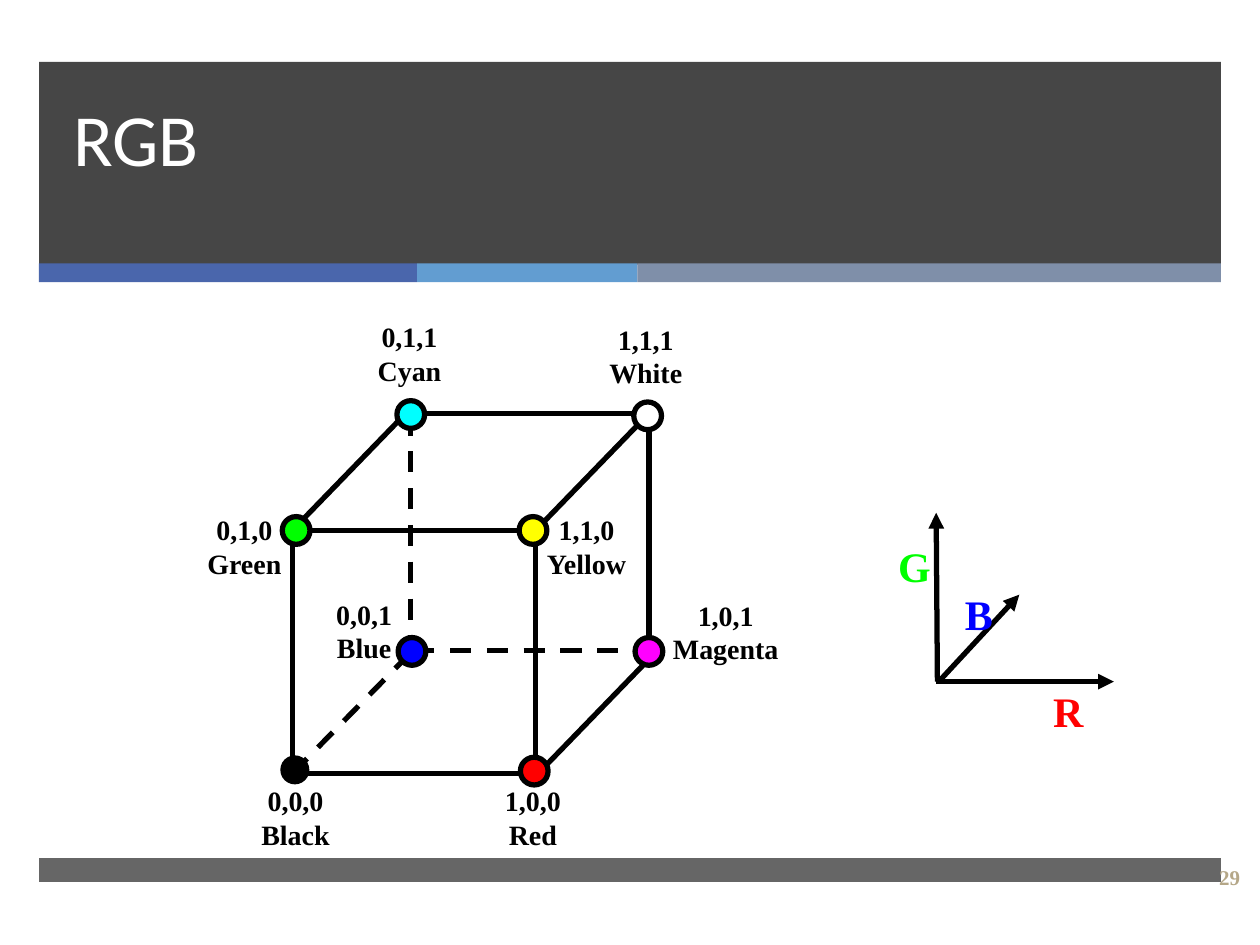
from dataclasses import dataclass

from lxml.etree import SubElement
from pptx import Presentation
from pptx.dml.color import RGBColor
from pptx.enum.dml import MSO_LINE
from pptx.enum.shapes import MSO_CONNECTOR, MSO_SHAPE
from pptx.enum.text import MSO_ANCHOR, PP_ALIGN
from pptx.oxml.ns import qn
from pptx.util import Inches, Pt


@dataclass(frozen=True)
class Theme:
    dark: str = "262626"
    accents: tuple = ("4A66AC", "629DD1", "7F8FA9")
    ink: str = "000000"
    white: str = "FFFFFF"
    page_number: str = "B5A788"
    red: str = "FF0000"
    green: str = "00FF00"
    blue: str = "0000FF"
    cyan: str = "00FFFF"
    magenta: str = "FF00FF"
    yellow: str = "FFFF00"
    title_font: str = "Calibri"
    label_font: str = "Times New Roman"
    title_size: int = 42
    axis_size: int = 24
    label_size: int = 16
    number_size: int = 12
    stroke: int = 3


theme = Theme()
presentation = Presentation()
presentation.slide_width, presentation.slide_height = Inches(10), Inches(7.5)
slide = presentation.slides.add_slide(presentation.slide_layouts[5])
shapes = slide.shapes


def add_line(start, end, dashed=False, arrow=False):
    line = shapes.add_connector(MSO_CONNECTOR.STRAIGHT, *map(Inches, start + end))
    line.line.color.rgb = RGBColor.from_string(theme.ink)
    line.line.width = Pt(theme.stroke)
    if dashed:
        line.line.dash_style = MSO_LINE.DASH
    if arrow:
        SubElement(line.line._get_or_add_ln(), qn("a:tailEnd"), type="triangle")
    SubElement(line._element.spPr, qn("a:effectLst"))


def add_label(box, lines, size, color, align, wrap=False):
    frame = shapes.add_textbox(*map(Inches, box)).text_frame
    frame.word_wrap = wrap
    frame.text = "\n".join(lines)
    for paragraph in frame.paragraphs:
        paragraph.alignment = align
        font = paragraph.font
        font.name, font.size, font.bold = theme.label_font, Pt(size), True
        font.color.rgb = RGBColor.from_string(color)
    return frame


# Header and footer bands: left, top, width, height, colour, opacity in percent
bands = [
    (0.31, 0.49, 9.38, 1.61, theme.dark, 85),
    (0.31, 2.09, 3, 0.15, theme.accents[0], 100),
    (3.31, 2.09, 1.75, 0.15, theme.accents[1], 100),
    (5.06, 2.09, 4.63, 0.15, theme.accents[2], 100),
    (0.31, 6.81, 9.38, 0.19, theme.dark, 70),
]
for *box, color, opacity in bands:
    band = shapes.add_shape(MSO_SHAPE.RECTANGLE, *map(Inches, box))
    band.shadow.inherit = False
    band.fill.solid()
    band.fill.fore_color.rgb = RGBColor.from_string(color)
    band.line.fill.background()
    if opacity < 100:
        rgb = band._element.spPr.find(qn("a:solidFill")).find(qn("a:srgbClr"))
        SubElement(rgb, qn("a:alpha"), val=str(opacity * 1000))

# Title, brought in front of the header band
title = shapes.title
shapes._spTree.append(title._element)
title.left, title.top, title.width, title.height = map(Inches, (0.48, 0.3, 8.54, 1.19))
title.text_frame.text = "RGB"
title.text_frame.vertical_anchor = MSO_ANCHOR.BOTTOM
heading = title.text_frame.paragraphs[0]
heading.alignment = PP_ALIGN.LEFT
heading.line_spacing = Pt(46)
heading.font.name, heading.font.size = theme.title_font, Pt(theme.title_size)
heading.font.color.rgb = RGBColor.from_string(theme.white)

# Cube: back edges, front face, then the edges joining them
back_edges = [
    ((3.26, 3.29), (3.26, 5.18), True),
    ((5.15, 3.28), (5.15, 5.16), False),
    ((3.25, 3.28), (5.16, 3.28), False),
    ((2.32, 6.14), (3.27, 5.17), True),
    ((3.28, 5.16), (5.19, 5.16), True),
]
for start, end, dashed in back_edges:
    add_line(start, end, dashed)

front = shapes.add_shape(MSO_SHAPE.RECTANGLE, *map(Inches, (2.32, 4.21, 1.93, 1.93)))
front.shadow.inherit = False
front.fill.background()
front.line.color.rgb = RGBColor.from_string(theme.ink)
front.line.width = Pt(theme.stroke)

for start, end in [((2.32, 4.21), (3.27, 3.23)), ((4.25, 4.21), (5.2, 3.23)),
                   ((4.27, 6.14), (5.21, 5.17))]:
    add_line(start, end)

# Corners: name, coordinates, colour, dot position, label position and width
corners = [
    ("Yellow", "1,1,0", theme.yellow, (4.12, 4.1), (4.2, 4.02, 0.91)),
    ("Black", "0,0,0", theme.ink, (2.23, 6), (1.95, 6.17, 0.79)),
    ("Red", "1,0,0", theme.red, (4.13, 6.01), (3.88, 6.17, 0.7)),
    ("Green", "0,1,0", theme.green, (2.24, 4.1), (1.52, 4.02, 0.84)),
    ("Blue", "0,0,1", theme.blue, (3.16, 5.06), (2.54, 4.69, 0.7)),
    ("Magenta", "1,0,1", theme.magenta, (5.04, 5.06), (5.21, 4.7, 1.1)),
    ("White", "1,1,1", theme.white, (5.03, 3.19), (4.72, 2.51, 0.81)),
    ("Cyan", "0,1,1", theme.cyan, (3.15, 3.18), (2.88, 2.49, 0.74)),
]
for name, coordinates, color, position, label in corners:
    dot = shapes.add_shape(MSO_SHAPE.OVAL, *map(Inches, position + (0.22, 0.22)))
    dot.shadow.inherit = False
    dot.fill.solid()
    dot.fill.fore_color.rgb = RGBColor.from_string(color)
    dot.line.color.rgb = RGBColor.from_string(theme.ink)
    dot.line.width = Pt(0 if name == "Black" else theme.stroke)
    add_label(label + (0.64,), (coordinates, name), theme.label_size, theme.ink,
              PP_ALIGN.CENTER)

# Axes: letter, colour, line ends, label box
axes = [
    ("R", theme.red, (7.43, 5.41), (8.84, 5.41), (8.26, 5.39, 0.4, 0.43)),
    ("B", theme.blue, (7.45, 5.41), (8.09, 4.72), (7.56, 4.62, 0.4, 0.43)),
    ("G", theme.green, (7.44, 5.41), (7.43, 4.07), (7.03, 4.24, 0.42, 0.43)),
]
for letter, color, start, end, box in axes:
    add_line(start, end, arrow=True)
    add_label(box, [letter], theme.axis_size, color, PP_ALIGN.LEFT)

number = add_label((9.44, 6.7, 0.5, 0.52), ["29"], theme.number_size,
                   theme.page_number, PP_ALIGN.RIGHT, wrap=True)
number.vertical_anchor = MSO_ANCHOR.MIDDLE

presentation.save("out.pptx")
